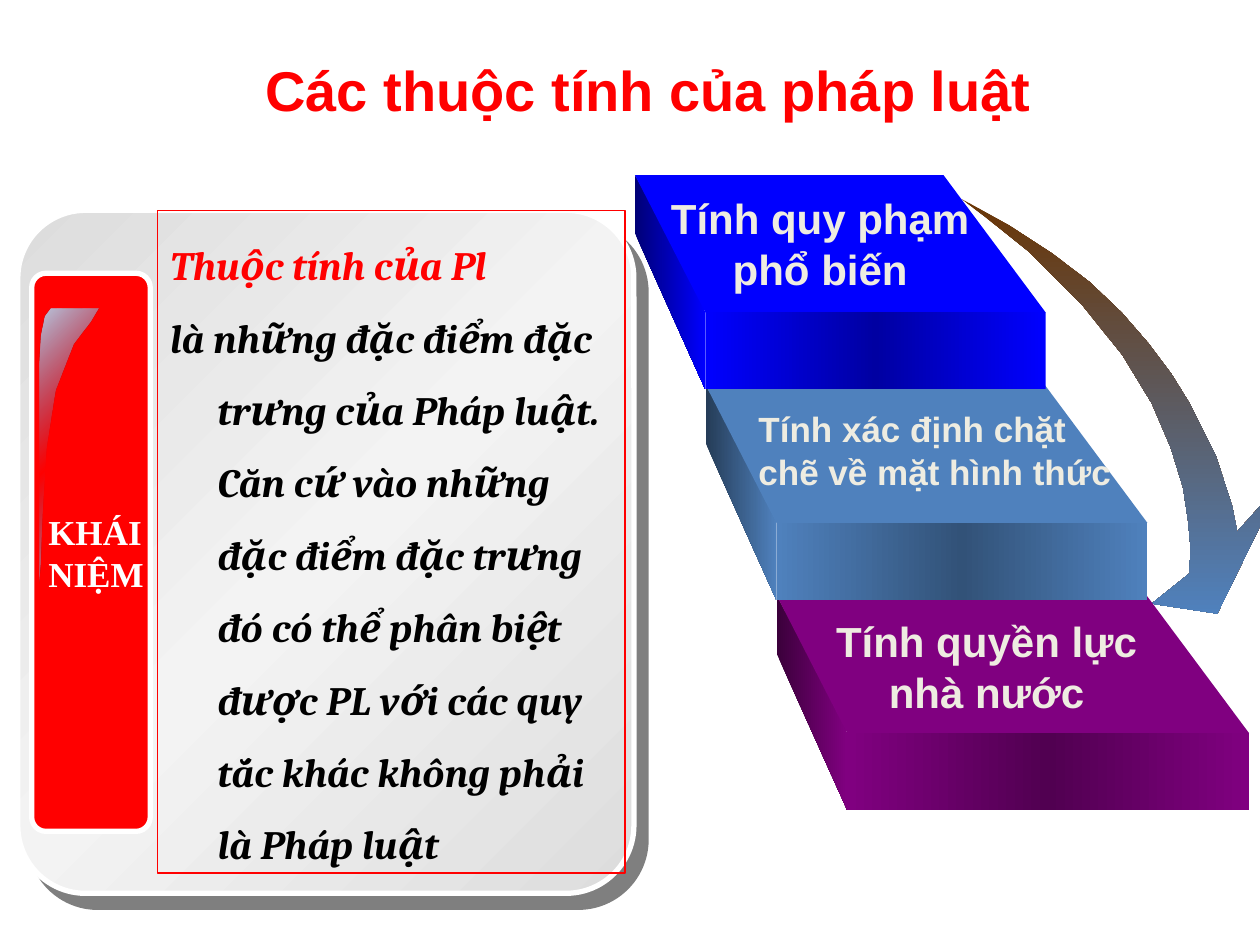
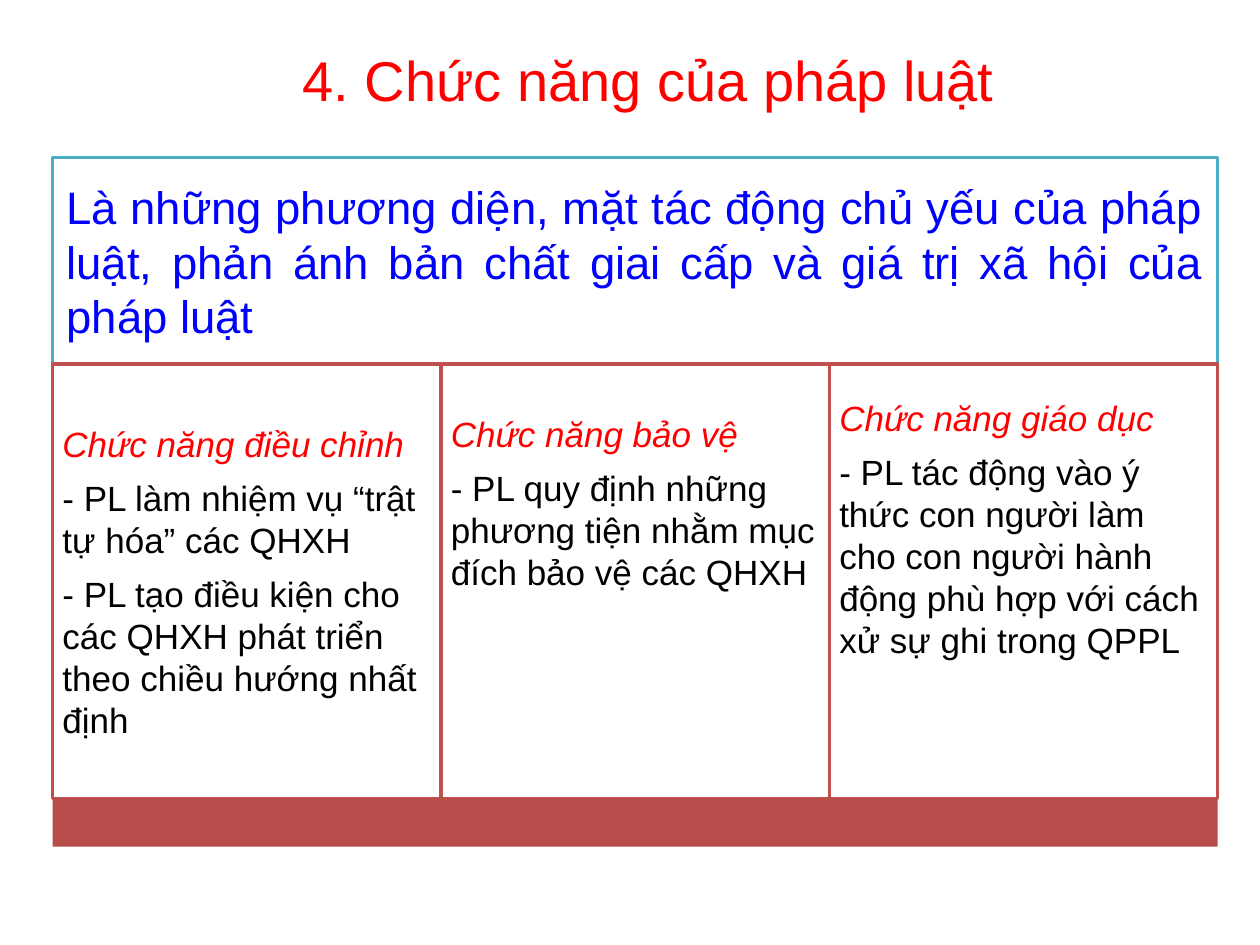
from copy import deepcopy

from lxml.etree import SubElement
from pptx import Presentation
from pptx.dml.color import RGBColor
from pptx.enum.shapes import MSO_SHAPE
from pptx.enum.text import MSO_ANCHOR, PP_ALIGN
from pptx.oxml.ns import qn
from pptx.util import Cm, Pt

RED, BLUE, STEEL, PURPLE = "FF0000", "0000FF", "4F81BD", "800080"
WHITE, BLACK, CREAM = "FFFFFF", "000000", "EEECE1"
TEAL, BRICK, DARK_BRICK = "4BACC6", "C0504D", "B74C4A"


def paint(shape, colours=(), angle=0, line=None, width=2):
    """Fill with no colour, one colour or an even gradient, and set the outline."""
    shape.shadow.inherit = False
    fill = shape.fill
    if not colours:
        fill.background()
    elif len(colours) == 1:
        fill.solid()
        fill.fore_color.rgb = RGBColor.from_string(colours[0])
    else:
        fill.gradient()
        fill.gradient_angle = angle
        stop_list = shape._element.spPr.find(".//" + qn("a:gsLst"))
        for _ in colours[2:]:
            stop_list.append(deepcopy(stop_list[0]))
        for index, stop in enumerate(fill.gradient_stops):
            stop.position = index / (len(colours) - 1)
            stop.color.rgb = RGBColor.from_string(colours[index])
    if line:
        shape.line.color.rgb = RGBColor.from_string(line)
        shape.line.width = Pt(width)
    else:
        shape.line.fill.background()


def write(shape, lines, size, colours, font="Arial", bold=False, italics=(False,),
          align=PP_ALIGN.LEFT, anchor=MSO_ANCHOR.MIDDLE, wrap=True):
    """Write one paragraph per line; the last colour and italic serve the rest."""
    frame = shape.text_frame
    frame.text = "\n".join(lines)
    frame.word_wrap = wrap
    frame.vertical_anchor = anchor
    for index, paragraph in enumerate(frame.paragraphs):
        paragraph.alignment = align
        for run in paragraph.runs:
            run.font.name = font
            run.font.size = Pt(size)
            run.font.bold = bold
            run.font.italic = italics[min(index, len(italics) - 1)]
            colour = colours[min(index, len(colours) - 1)]
            run.font.color.rgb = RGBColor.from_string(colour)


presentation = Presentation()
presentation.slide_width, presentation.slide_height = Cm(25.4), Cm(19.05)

# Slides with their titles
titles = [("Các thuộc tính của pháp luật", 0.84, True),
          ("4. Chức năng của pháp luật", 0.64, False)]
for title, top, bold in titles:
    slide = presentation.slides.add_slide(presentation.slide_layouts[6])
    title_box = slide.shapes.add_textbox(Cm(3.97), Cm(top), Cm(18.21), Cm(1.91))
    write(title_box, [title], 32, [RED], bold=bold, align=PP_ALIGN.CENTER)
attributes_slide, functions_slide = presentation.slides

# Slide 1: definition card
shapes = attributes_slide.shapes
card = shapes.add_shape(MSO_SHAPE.ROUNDED_RECTANGLE, Cm(0.36), Cm(4.24), Cm(12.42), Cm(13.77))
card.adjustments[0] = 0.11
paint(card, ["DDDDDD", "F3F3F3", "DDDDDD"], 315, WHITE, 3)
effects = card._element.spPr.find(qn("a:effectLst"))
shadow = SubElement(effects, qn("a:outerShdw"), dist=str(Pt(10.6)), dir=str(49 * 60000),
                    algn="ctr", rotWithShape="0")
shadow_colour = SubElement(shadow, qn("a:srgbClr"), val=BLACK)
SubElement(shadow_colour, qn("a:alpha"), val="50000")

concept = shapes.add_shape(MSO_SHAPE.ROUNDED_RECTANGLE, Cm(0.64), Cm(5.51), Cm(2.39), Cm(11.25))
concept.adjustments[0] = 0.12
paint(concept, [RED], line=WHITE, width=3)
write(concept, ["KHÁI", "NIỆM"], 20, [WHITE], "Times New Roman", True, wrap=False)

# Outlines: gloss on the concept bar, curved arrow, then the faces of the steps
gloss = [(1.02, 6.22), (0.9, 6.38), (0.82, 6.77), (0.79, 7.34), (0.79, 11.76), (0.82, 11.37),
         (0.86, 10.33), (0.94, 9.03), (1.12, 7.87), (1.48, 6.94), (1.82, 6.49), (1.98, 6.22)]
arrow_outer = [(19.38, 4.01), (20.35, 4.55), (21.21, 5.11), (21.97, 5.69), (22.61, 6.3),
               (23.14, 6.91), (23.6, 7.52), (23.98, 8.13), (24.26, 8.69), (24.51, 9.19),
               (24.66, 9.65), (24.84, 10.21), (24.94, 10.72)]
arrow_head = [(25.83, 9.73), (24.54, 12.37), (23.22, 12.17), (23.98, 11.56)]
arrow_inner = [(24, 11.02), (23.95, 10.49), (23.85, 9.83), (23.6, 9.02), (23.22, 8.13),
               (22.63, 7.16), (21.82, 6.15), (20.75, 5.08), (19.86, 4.37)]
outlines = [(gloss, ["BBC7DE", STEEL, "BBC7DE"], 315),
            (arrow_outer + arrow_head + arrow_inner, ["6A3505", STEEL], 270)]

DEPTH, TREAD, FRONT_HEIGHT = 1.42, 2.77, 1.55
steps = [(BLUE, "000076", "0000A2"), (STEEL, "253C57", "325278"), (PURPLE, "3B003B", "510051")]
fronts = []
for index, (colour, side_shade, front_shade) in enumerate(steps):
    left, top = 12.8 + 1.43 * index, 3.53 + 4.24 * index
    front_left, front_top = left + DEPTH, top + TREAD
    front_width = 6.86 + 0.62 * index
    side = [(left, top), (left, top + 1.17),
            (front_left, front_top + FRONT_HEIGHT), (front_left, front_top)]
    tread = [(left, top), (left + 6.22 + 0.62 * index, top),
             (front_left + front_width, front_top), (front_left, front_top)]
    outlines += [(side, [side_shade, colour], 0), (tread, [colour], 0)]
    fronts.append((front_left, front_top, front_width, [colour, front_shade, colour]))

for points, colours, angle in outlines:
    corners = [(Cm(x), Cm(y)) for x, y in points]
    builder = shapes.build_freeform(*corners[0])
    builder.add_line_segments(corners[1:])
    outline = builder.convert_to_shape()
    paint(outline, colours, angle)
    if points is gloss:
        middle_stop = outline._element.spPr.find(".//" + qn("a:gsLst"))[1]
        SubElement(middle_stop[0], qn("a:alpha"), val="0")

for left, top, width, colours in fronts:
    front = shapes.add_shape(MSO_SHAPE.RECTANGLE, Cm(left), Cm(top), Cm(width), Cm(FRONT_HEIGHT))
    paint(front, colours)

step_labels = [
    (13.13, 3.76, 6.81, 2.31, 24, PP_ALIGN.CENTER, ["Tính quy phạm phổ biến"]),
    (15.04, 8.1, 9.32, 1.96, 20, PP_ALIGN.LEFT, ["Tính xác định chặt", "chẽ về mặt hình thức"]),
    (14.81, 12.29, 10.16, 2.29, 24, PP_ALIGN.CENTER, ["Tính quyền lực", "nhà nước"]),
]
for left, top, width, height, size, align, lines in step_labels:
    label = shapes.add_textbox(Cm(left), Cm(top), Cm(width), Cm(height))
    write(label, lines, size, [CREAM], bold=True, align=align, anchor=MSO_ANCHOR.TOP)

definition = shapes.add_shape(MSO_SHAPE.RECTANGLE, Cm(3.18), Cm(4.24), Cm(9.42), Cm(13.36))
paint(definition, line=RED, width=0.75)
write(definition, [
    "Thuộc tính của Pl",
    "là những đặc điểm đặc trưng của Pháp luật. Căn cứ vào những đặc điểm đặc trưng đó "
    "có thể phân biệt được PL với các quy tắc khác không phải là Pháp luật",
], 23, [RED, BLACK], "Cambria", True, [True], anchor=MSO_ANCHOR.TOP)
for paragraph in definition.text_frame.paragraphs:
    paragraph.line_spacing = 1.5
    properties = paragraph._p.get_or_add_pPr()
    properties.set("marL", str(Cm(0.96)))
    properties.set("indent", str(-Cm(0.96)))

# Slide 2: summary above three columns, closed by a band
shapes = functions_slide.shapes
LEFT, WIDTH, SUMMARY_TOP, COLUMN_TOP, BAND_TOP = 1.06, 23.49, 3.18, 7.34, 16.1
COLUMN_WIDTH = WIDTH / 3
LINE_ROOM = 1.06

summary = shapes.add_shape(MSO_SHAPE.RECTANGLE, Cm(LEFT), Cm(SUMMARY_TOP),
                           Cm(WIDTH), Cm(COLUMN_TOP - SUMMARY_TOP))
paint(summary, [WHITE], line=TEAL)
write(summary, ["Là những phương diện, mặt tác động chủ yếu của pháp luật, phản ánh bản chất "
                "giai cấp và giá trị xã hội của pháp luật"],
      26, [BLUE], align=PP_ALIGN.JUSTIFY)
summary.text_frame.margin_left = summary.text_frame.margin_right = Cm(0.28)

# Each column: lines of room kept free below the text, then its paragraphs
columns = [
    (0, ["Chức năng điều chỉnh",
         "- PL làm nhiệm vụ “trật tự hóa” các QHXH",
         "- PL tạo điều kiện cho các QHXH phát triển theo chiều hướng nhất định"]),
    (3, ["Chức năng bảo vệ",
         "- PL quy định những phương tiện nhằm mục đích bảo vệ các QHXH"]),
    (2, ["Chức năng giáo dục",
         "- PL tác động vào ý thức con người làm cho con người hành động phù hợp với cách "
         "xử sự ghi trong QPPL"]),
]
for index, (free_lines, lines) in enumerate(columns):
    column = shapes.add_shape(MSO_SHAPE.RECTANGLE, Cm(LEFT + COLUMN_WIDTH * index),
                              Cm(COLUMN_TOP), Cm(COLUMN_WIDTH), Cm(BAND_TOP - COLUMN_TOP))
    paint(column, [WHITE], line=BRICK)
    write(column, lines, 20, [RED, BLACK], italics=[True, False])
    frame = column.text_frame
    frame.margin_left = frame.margin_right = frame.margin_top = Cm(0.2)
    frame.margin_bottom = Cm(0.2 + LINE_ROOM * free_lines)
    for paragraph in frame.paragraphs:
        paragraph.space_after = Pt(7)

band = shapes.add_shape(MSO_SHAPE.RECTANGLE, Cm(LEFT), Cm(BAND_TOP), Cm(WIDTH), Cm(0.97))
paint(band, [DARK_BRICK])

presentation.save("out.pptx")
